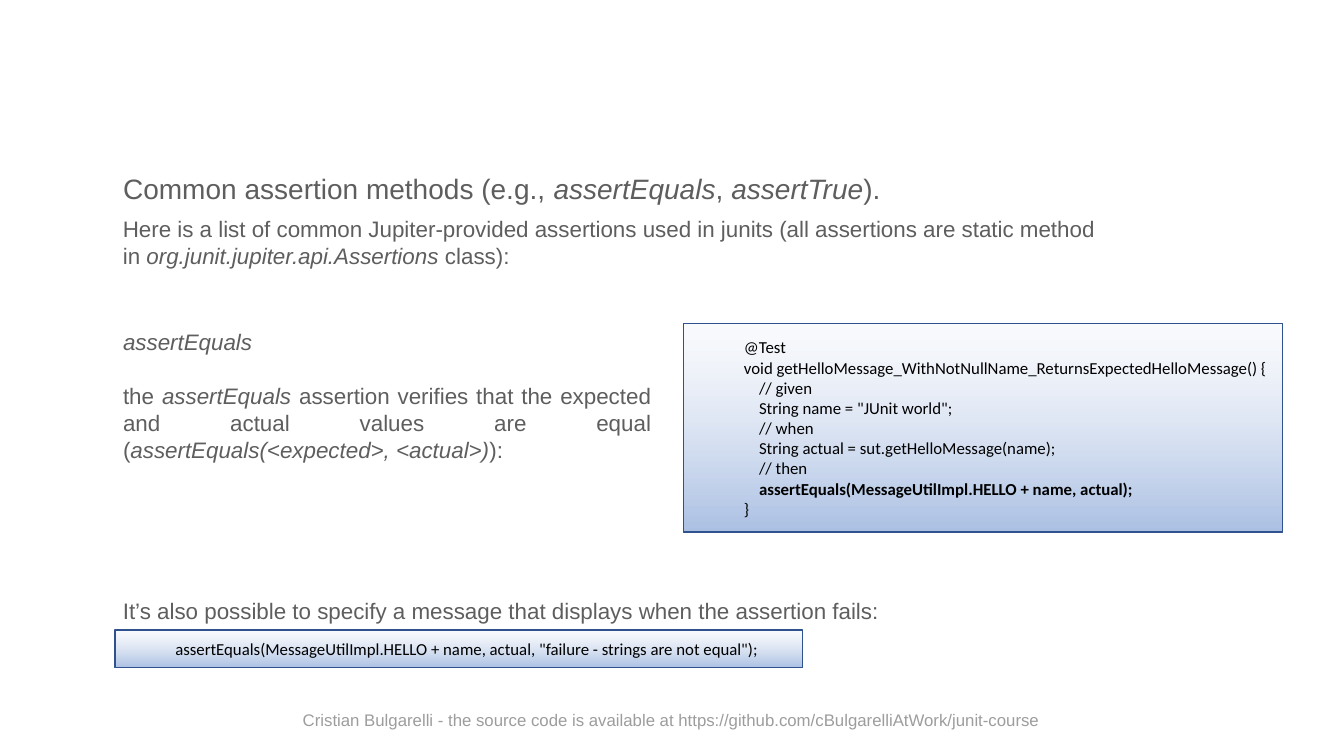
from dataclasses import dataclass

from lxml import etree
from pptx import Presentation
from pptx import util as u
from pptx.dml.color import RGBColor
from pptx.enum import shapes, text
from pptx.oxml.ns import qn


@dataclass(frozen=True)
class Theme:
    prose_font: str = "Arial"
    code_font: str = "Calibri"
    prose: str = "5E5E5E"
    footer: str = "9D9D9D"
    code: str = "000000"
    border: str = "2F528F"
    panel_top: str = "F6F8FC"
    panel_bottom: str = "ABC0E4"
    title_size: int = 20
    body_size: int = 16
    small_size: int = 12


@dataclass(frozen=True)
class Box:
    left: float
    top: float
    width: float
    height: float

    def lengths(self) -> list:
        return [u.Inches(v) for v in (self.left, self.top, self.width, self.height)]


@dataclass(frozen=True)
class Run:
    text: str
    italic: bool = False
    bold: bool = False


@dataclass(frozen=True)
class Style:
    font: str
    size: int
    color: str
    align: text.PP_ALIGN = text.PP_ALIGN.LEFT
    anchor: text.MSO_ANCHOR = text.MSO_ANCHOR.TOP
    level: int = 0
    gap: int = 0
    grow: bool = False


@dataclass(frozen=True)
class Prose:
    box: Box
    style: Style
    paragraphs: list


@dataclass(frozen=True)
class CodePanel:
    box: Box
    lines: list


T = Theme()
TITLE = Style(T.prose_font, T.title_size, T.prose, grow=True)
BODY = Style(T.prose_font, T.body_size, T.prose, grow=True)
DESCRIPTION = Style(T.prose_font, T.body_size, T.prose,
                    text.PP_ALIGN.JUSTIFY, gap=19, grow=True)
FOOTER = Style(T.prose_font, T.small_size, T.footer,
               text.PP_ALIGN.CENTER, text.MSO_ANCHOR.MIDDLE)
CODE = Style(T.code_font, T.small_size, T.code,
             anchor=text.MSO_ANCHOR.MIDDLE, level=1)

HEADING = Prose(Box(1.12, 1.65, 9.16, 0.44), TITLE, [[
    Run("Common assertion methods (e.g., "), Run("assertEquals", italic=True),
    Run(", "), Run("assertTrue", italic=True), Run(").")]])

ASSERT_EQUALS = Prose(Box(1.12, 3.21, 5.44, 1.45), DESCRIPTION, [
    [Run("assertEquals", italic=True)],
    [Run("the "), Run("assertEquals", italic=True),
     Run(" assertion verifies that the expected and actual values are equal ("),
     Run("assertEquals(<expected>, <actual>)", italic=True), Run("):")]])

NOTES = [
    Prose(Box(1.12, 2.09, 9.86, 0.64), BODY, [[
        Run("Here is a list of common Jupiter-provided assertions used in junits "
            "(all assertions are static method in "),
        Run("org.junit.jupiter.api.Assertions", italic=True), Run(" class):")]]),
    Prose(Box(1.12, 5.87, 10.58, 0.37), BODY, [[
        Run("It’s also possible to specify a message that displays "
            "when the assertion fails:")]]),
    Prose(Box(2.89, 6.94, 7.54, 0.4), FOOTER, [[
        Run("Cristian Bulgarelli - the source code is available at "
            "https://github.com/cBulgarelliAtWork/junit-course")]]),
]

PANELS = [
    CodePanel(Box(6.78, 3.21, 5.94, 2.07), [
        [Run("@Test")],
        [Run("void getHelloMessage_WithNotNullName_ReturnsExpectedHelloMessage() {")],
        [Run("    // given")],
        [Run('    String name = "JUnit world";')],
        [Run("    // when")],
        [Run("    String actual = sut.getHelloMessage(name);")],
        [Run("    // then")],
        [Run("    "), Run("assertEquals(MessageUtilImpl.HELLO + name, actual);", bold=True)],
        [Run("}")]]),
    CodePanel(Box(1.14, 6.25, 6.82, 0.37), [[
        Run('assertEquals(MessageUtilImpl.HELLO + name, actual, '
            '"failure - strings are not equal");')]]),
]


def write(sp, paragraphs: list, style: Style) -> None:
    tf = sp.text_frame
    tf.word_wrap = True
    tf.auto_size = (text.MSO_AUTO_SIZE.SHAPE_TO_FIT_TEXT if style.grow
                    else text.MSO_AUTO_SIZE.NONE)
    tf.vertical_anchor = style.anchor
    for i, runs in enumerate(paragraphs):
        p = tf.add_paragraph() if i else tf.paragraphs[0]
        p.alignment = style.align
        p.level = style.level
        p.space_before = u.Pt(style.gap if i else 0)
        if sp.is_placeholder:
            pPr = p._p.get_or_add_pPr()
            pPr.set("marL", "0")
            pPr.set("indent", "0")
            etree.SubElement(pPr, qn("a:buNone"))
        for run in runs:
            r = p.add_run()
            r.text = run.text
            r.font.name = style.font
            r.font.size = u.Pt(style.size)
            r.font.italic = run.italic
            r.font.bold = run.bold
            r.font.color.rgb = RGBColor.from_string(style.color)


def fill_placeholder(sp, prose: Prose) -> None:
    sp.left, sp.top, sp.width, sp.height = prose.box.lengths()
    write(sp, prose.paragraphs, prose.style)


def add_prose(s, prose: Prose) -> None:
    write(s.shapes.add_textbox(*prose.box.lengths()), prose.paragraphs, prose.style)


def add_code_panel(s, panel: CodePanel) -> None:
    sp = s.shapes.add_shape(shapes.MSO_SHAPE.RECTANGLE, *panel.box.lengths())
    sp.shadow.inherit = False
    sp.fill.gradient()
    sp.fill.gradient_angle = 270
    for stop, color, position in zip(sp.fill.gradient_stops,
                                     (T.panel_top, T.panel_bottom), (0, 1)):
        stop.color.rgb = RGBColor.from_string(color)
        stop.position = position
    top_color = sp.element.find(".//" + qn("a:srgbClr"))
    etree.SubElement(top_color, qn("a:alpha"), val="50000")
    sp.line.color.rgb = RGBColor.from_string(T.border)
    sp.line.width = u.Pt(1)
    write(sp, panel.lines, CODE)


def main() -> None:
    prs = Presentation()
    prs.slide_width, prs.slide_height = u.Inches(13.33), u.Inches(7.5)
    s = prs.slides.add_slide(prs.slide_layouts[1])
    fill_placeholder(s.shapes.title, HEADING)
    fill_placeholder(s.placeholders[1], ASSERT_EQUALS)
    for prose in NOTES:
        add_prose(s, prose)
    for panel in PANELS:
        add_code_panel(s, panel)
    prs.save("out.pptx")


if __name__ == "__main__":
    main()
